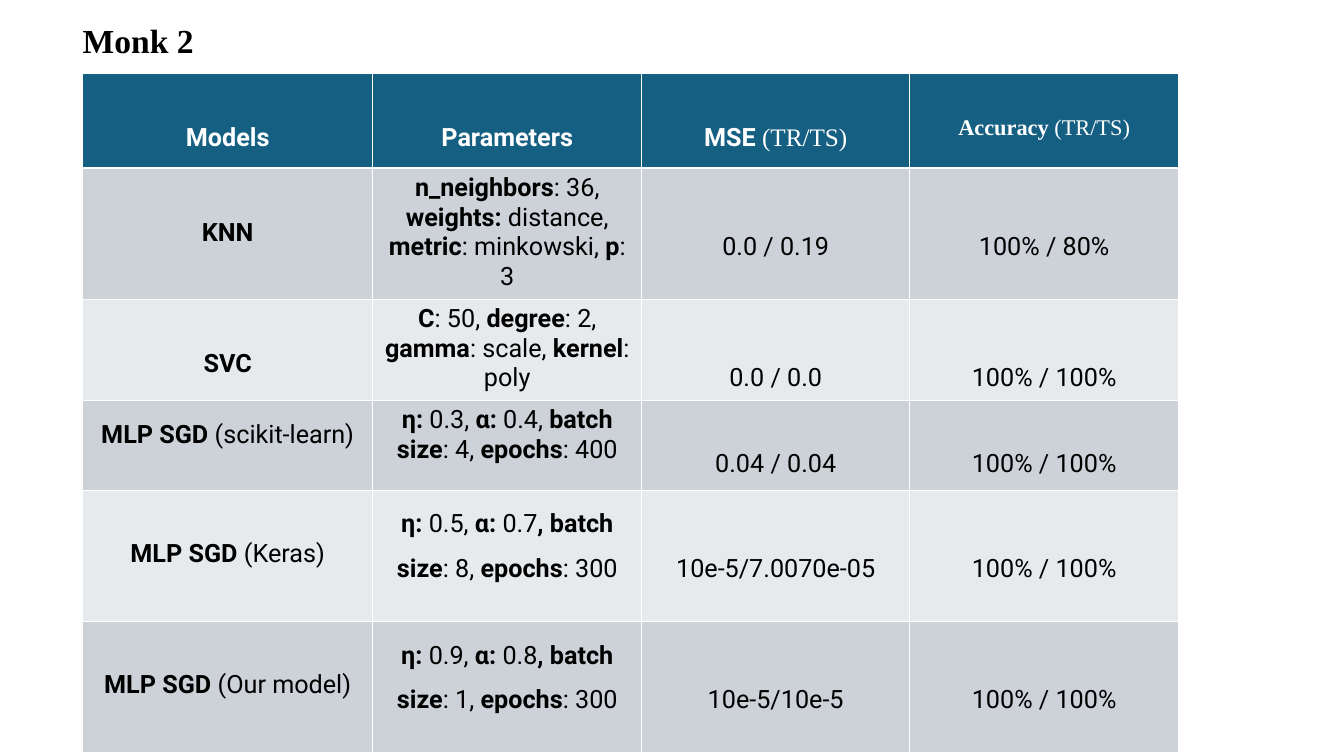
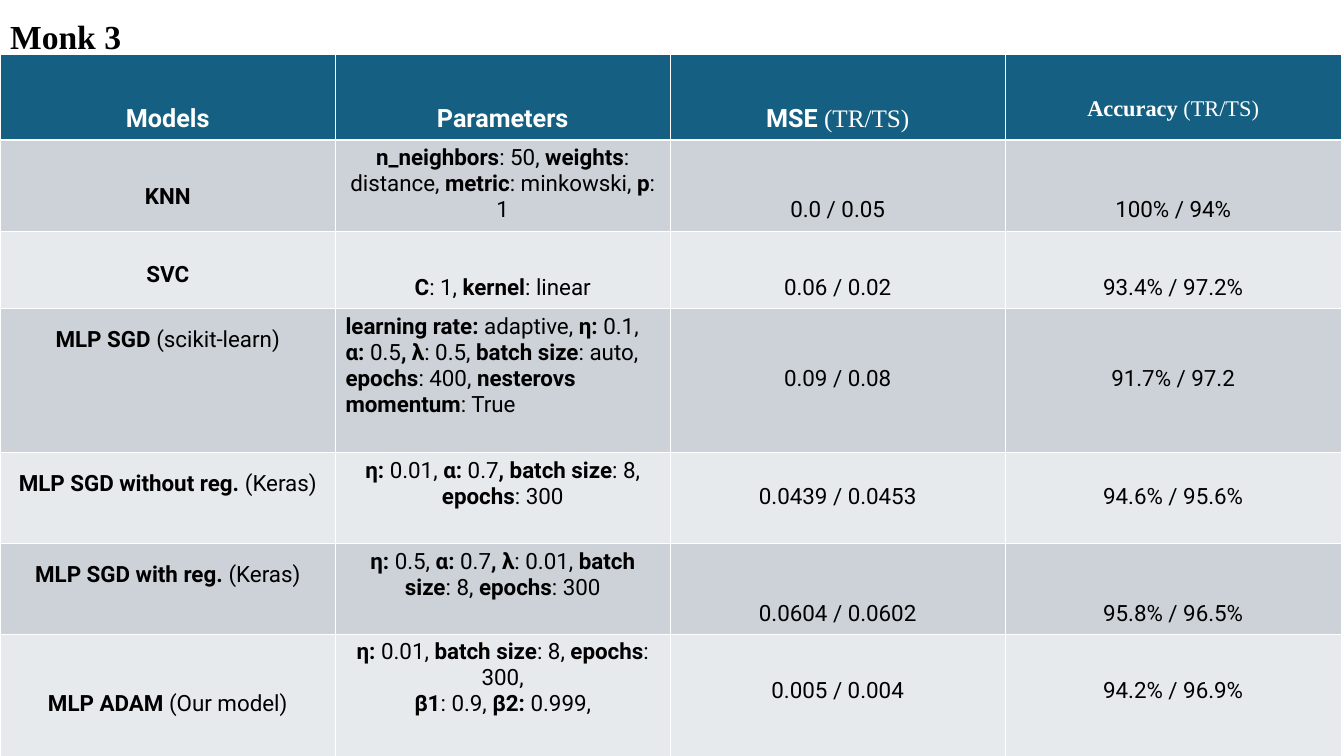
from dataclasses import dataclass

from lxml.etree import SubElement
from pptx import Presentation
from pptx.dml.color import RGBColor
from pptx.enum.text import MSO_ANCHOR as Anchor, PP_ALIGN as Align
from pptx.oxml.ns import qn
from pptx.util import Inches, Pt

COLORS = {
    "header": "156082",
    "odd_row": "CCD2D8",
    "even_row": "E7EAED",
    "border": "FFFFFF",
    "header_text": "FFFFFF",
    "text": "000000",
}
SANS, SERIF = "Roboto", "Times New Roman"
THIN, THICK = 0.45, 1.47

HEADERS = [
    ("*Models*", {}),
    ("*Parameters*", {}),
    ("*MSE* (TR/TS)", {"plain_font": SERIF}),
    ("*Accuracy* (TR/TS)", {"font": SERIF, "size": 16}),
]


@dataclass
class Result:
    """A table row; spacing holds the line spacing of model, parameters and scores."""
    height: float
    model: str
    parameters: str
    error: str
    accuracy: str
    spacing: tuple
    parameter_align: Align = Align.CENTER


MONK_2 = [
    Result(1.3, "*KNN*",
           "*n_neighbors*: 36, *weights:* distance, *metric*: minkowski, *p*: 3",
           "0.0 / 0.19", "100% / 80%", (2.5, 1, 3)),
    Result(1, "*SVC*", "*C*: 50, *degree*: 2, *gamma*: scale, *kernel*: poly",
           "0.0 / 0.0", "100% / 100%", (2.5, 1, 3)),
    Result(0.89, "*MLP SGD *(scikit-learn)",
           "*η: *0.3, *α: *0.4, *batch size*: 4, *epochs*: 400",
           "0.04 / 0.04", "100% / 100%", (1.5, 1, 2.5)),
    Result(1.3, "*MLP SGD *(Keras)",
           "*η: *0.5, *α: *0.7*, batch size*: 8, *epochs*: 300",
           "10e-5/7.0070e-05", "100% / 100%", (2.5, 1.5, 3)),
    Result(1.3, "*MLP SGD *(Our model)",
           "*η: *0.9, *α: *0.8*, batch size*: 1, *epochs*: 300",
           "10e-5/10e-5", "100% / 100%", (2.5, 1.5, 3)),
]

MONK_3 = [
    Result(0.9, "*KNN*",
           "*n_neighbors*: 50, *weights*: distance, *metric*: minkowski, *p*: 1",
           "0.0 / 0.05", "100% / 94%", (2.5, 1, 3)),
    Result(0.77, "*SVC*", "*C*: 1, *kernel*: linear",
           "0.06 / 0.02", "93.4% / 97.2%", (2, 2.5, 2.5)),
    Result(1.43, "*MLP SGD *(scikit-learn)",
           "*learning rate: *adaptive, *η: *0.1, *α: *0.5*, λ*: 0.5, "
           "*batch size*: auto, *epochs*: 400, *nesterovs momentum*: True",
           "0.09 / 0.08", "91.7% / 97.2", (1.5, 1, 3), Align.LEFT),
    Result(0.9, "*MLP SGD without reg. *(Keras)",
           "*η: *0.01, *α: *0.7*, batch size*: 8, *epochs*: 300",
           "0.0439 / 0.0453", "94.6% / 95.6%", (1.5, 1, 2)),
    Result(0.9, "*MLP SGD with reg. *(Keras)",
           "*η: *0.5, *α: *0.7*, λ*: 0.01, *batch size*: 8, *epochs*: 300",
           "0.0604 / 0.0602", "95.8% / 96.5%", (1.5, 1, 3)),
    Result(1.77, "*MLP ADAM *(Our model)",
           "*η: *0.01, *batch size*: 8, *epochs*: 300,\n*β1*: 0.9, *β2: *0.999,",
           "0.005 / 0.004", "94.2% / 96.9%", (3, 1, 2.5)),
]


def write_text(frame, text, size=18, font=SANS, plain_font=None, color="text",
               spacing=1, align=Align.CENTER):
    """Write one paragraph per line; parts between asterisks are bold."""
    for number, line in enumerate(text.split("\n")):
        para = frame.add_paragraph() if number else frame.paragraphs[0]
        para.alignment = align
        para.line_spacing = float(spacing)
        for index, part in enumerate(line.split("*")):
            if not part:
                continue
            bold = index % 2 == 1
            span = para.add_run()
            span.text = part
            span.font.size = Pt(size)
            span.font.bold = bold
            span.font.name = font if bold else plain_font or font
            span.font.color.rgb = RGBColor.from_string(COLORS[color])


def add_title(slide, text, left, top):
    title = slide.shapes.title
    title.left, title.top = Inches(left), Inches(top)
    title.width, title.height = Inches(11.5), Inches(0.76)
    title.text_frame.vertical_anchor = Anchor.MIDDLE
    write_text(title.text_frame, text, size=24, font=SERIF, spacing=0.9,
               align=Align.LEFT)


def style_cell(cell, fill, top=THIN, bottom=THIN):
    properties = cell._tc.get_or_add_tcPr()
    sides = {"lnL": THIN, "lnR": THIN, "lnT": top, "lnB": bottom}
    for side, width in sides.items():
        line = SubElement(properties, qn(f"a:{side}"), w=str(Pt(width)))
        line_fill = SubElement(line, qn("a:solidFill"))
        SubElement(line_fill, qn("a:srgbClr"), val=COLORS["border"])
    cell.fill.solid()
    cell.fill.fore_color.rgb = RGBColor.from_string(COLORS[fill])


def add_results_table(slide, results, left, top, widths, header_height, size):
    heights = [header_height] + [result.height for result in results]
    table = slide.shapes.add_table(
        len(heights), len(widths), Inches(left), Inches(top),
        Inches(sum(widths)), Inches(sum(heights))).table
    table.horz_banding = False
    for column, width in zip(table.columns, widths):
        column.width = Inches(width)
    for row, height in zip(table.rows, heights):
        row.height = Inches(height)

    for cell, (text, text_format) in zip(table.rows[0].cells, HEADERS):
        style_cell(cell, "header", bottom=THICK)
        write_text(cell.text_frame, text, color="header_text", spacing=2.5,
                   **text_format)

    for number, result in enumerate(results, start=1):
        model_spacing, parameter_spacing, score_spacing = result.spacing
        contents = [
            (result.model, model_spacing, Align.CENTER),
            (result.parameters, parameter_spacing, result.parameter_align),
            (result.error, score_spacing, Align.CENTER),
            (result.accuracy, score_spacing, Align.CENTER),
        ]
        for cell, (text, spacing, align) in zip(table.rows[number].cells, contents):
            style_cell(cell, "odd_row" if number % 2 else "even_row",
                       top=THICK if number == 1 else THIN)
            write_text(cell.text_frame, text, size=size, spacing=spacing,
                       align=align)


def add_title_slide(deck, title, left, top):
    slide = deck.slides.add_slide(deck.slide_layouts[5])
    add_title(slide, title, left, top)
    return slide


def main():
    deck = Presentation()
    deck.slide_width, deck.slide_height = Inches(13.34), Inches(7.5)

    monk_2 = add_title_slide(deck, "*Monk 2*", 0.72, 0.04)
    add_results_table(monk_2, MONK_2, 0.82, 0.73, [2.88, 2.67, 2.66, 2.67],
                      header_height=0.94, size=18)

    monk_3 = add_title_slide(deck, "*Monk 3*", 0, 0)
    add_results_table(monk_3, MONK_3, 0, 0.54, [3.33, 3.32, 3.33, 3.33],
                      header_height=0.85, size=16)

    deck.save("out.pptx")


if __name__ == "__main__":
    main()
